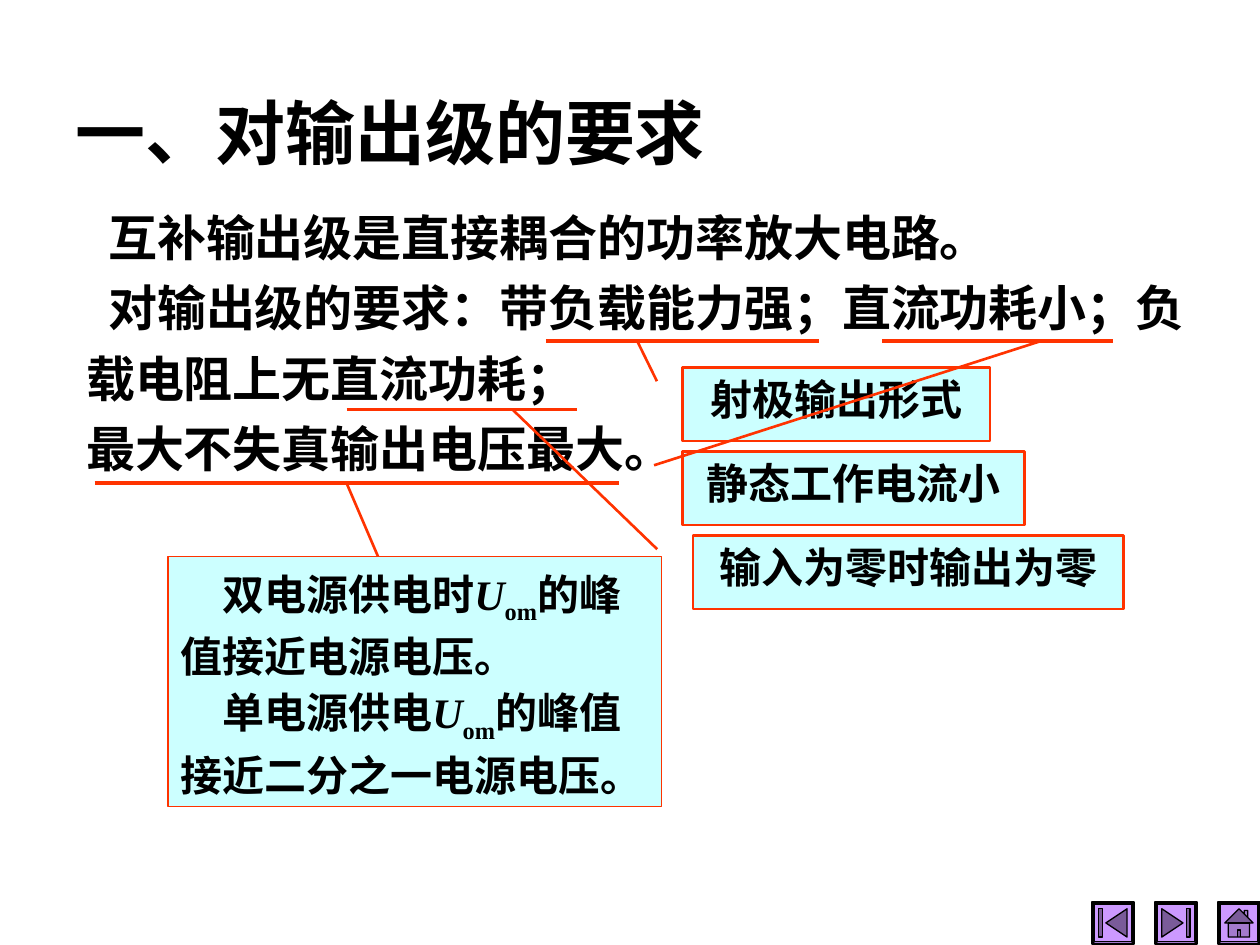
from lxml import etree
from pptx import Presentation
from pptx.dml.color import RGBColor
from pptx.enum.shapes import MSO_CONNECTOR, MSO_SHAPE
from pptx.enum.text import MSO_ANCHOR, MSO_AUTO_SIZE, PP_ALIGN
from pptx.oxml.ns import qn
from pptx.util import Pt

PX = 7620  # EMU per px, 120 px to the inch
STRAIGHT = MSO_CONNECTOR.STRAIGHT
CALLOUT, RECTANGLE, BEVEL = MSO_SHAPE.LINE_CALLOUT_1, MSO_SHAPE.RECTANGLE, MSO_SHAPE.BEVEL
NAV_BUTTONS = (MSO_SHAPE.ACTION_BUTTON_BEGINNING, MSO_SHAPE.ACTION_BUTTON_END,
               MSO_SHAPE.ACTION_BUTTON_HOME)
TOP, MIDDLE = MSO_ANCHOR.TOP, MSO_ANCHOR.MIDDLE
LEFT, CENTER = PP_ALIGN.LEFT, PP_ALIGN.CENTER
NO_AUTOFIT = MSO_AUTO_SIZE.NONE

CJK, SERIF = "Noto Sans CJK SC", "Times New Roman"
COLORS = {"ink": "000000", "note": "CCFFFF", "mark": "FF3300", "button": "CC99FF"}


def rgb(name):
    return RGBColor.from_string(COLORS[name])


def place(shape, box):
    shape.left, shape.top, shape.width, shape.height = (v * PX for v in box)


def format_paragraph(paragraph, size, latin, align=LEFT, spacing=None, indent=0):
    paragraph.alignment = align
    if spacing:
        paragraph.line_spacing = spacing
    font = paragraph.font
    font.size, font.bold = Pt(size), True
    font.color.rgb = rgb("ink")
    font.name = latin
    props = paragraph._p.get_or_add_pPr()
    props.set("marL", "0")
    props.set("indent", str(indent * PX))
    etree.SubElement(props.find(qn("a:defRPr")), qn("a:ea"), typeface=CJK)


def add_box(slide, preset, box, fill, line, width):
    shape = slide.shapes.add_shape(preset, *(v * PX for v in box))
    shape.shadow.inherit = False
    shape.fill.solid()
    shape.fill.fore_color.rgb = rgb(fill)
    shape.line.color.rgb = rgb(line)
    shape.line.width = Pt(width)
    shape.text_frame.word_wrap = True
    shape.text_frame.vertical_anchor = TOP
    return shape


def add_line(slide, start, end, width):
    line = slide.shapes.add_connector(STRAIGHT, *(v * PX for v in (*start, *end)))
    line.line.color.rgb = rgb("mark")
    line.line.width = Pt(width)
    etree.SubElement(line._element.spPr, qn("a:effectLst"))


def add_underline(slide, left, right, y):
    add_line(slide, (left, y), (right, y), 2.25)


def add_navigation(slide, box):
    left, top, size, step = box
    for i, preset in enumerate(NAV_BUTTONS):
        x = left + i * step
        frame = add_box(slide, BEVEL, (x, top, size, size), "button", "ink", 0.75)
        frame.adjustments[0] = 0.06
        add_box(slide, preset, (x + 2, top + 2, size - 4, size - 4), "button", "ink", 0.75)


def fill_title(title, box, text):
    place(title, box)
    frame = title.text_frame
    frame.text = text
    frame.vertical_anchor, frame.auto_size = MIDDLE, NO_AUTOFIT
    heading = frame.paragraphs[0]
    heading.space_before = Pt(22.5)
    format_paragraph(heading, 40, CJK)


def fill_body(body, box, lines):
    place(body, box)
    frame = body.text_frame
    frame.text = "\n".join(text for text, _ in lines)
    frame.vertical_anchor, frame.auto_size = TOP, NO_AUTOFIT
    for paragraph, (_, indent) in zip(frame.paragraphs, lines):
        etree.SubElement(paragraph._p.get_or_add_pPr(), qn("a:buNone"))
        paragraph.space_before = Pt(0)
        format_paragraph(paragraph, 28, CJK, spacing=1.2, indent=indent)


def add_callout(slide, box, text, underline, tip_x):
    """A note whose leader ends at tip_x on the underlined phrase."""
    left, top, width, height = box
    note = add_box(slide, CALLOUT, box, "note", "mark", 1.5)
    tip_y = underline[2]
    leader = (0.188, -0.083, (tip_y - top) / height, (tip_x - left) / width)
    for i, value in enumerate(leader):
        note.adjustments[i] = value
    note.text_frame.text = text
    format_paragraph(note.text_frame.paragraphs[0], 24, SERIF, CENTER)
    add_underline(slide, *underline)


def add_voltage_note(slide, box, sentences, underline, leader_x):
    left, top = box[:2]
    frame = add_box(slide, RECTANGLE, box, "note", "mark", 0.75).text_frame
    for i, (before, after) in enumerate(sentences):
        paragraph = frame.add_paragraph() if i else frame.paragraphs[0]
        format_paragraph(paragraph, 24, SERIF, spacing=1.1, indent=40)
        runs = []
        for text in (before, "U", "om", after):
            run = paragraph.add_run()
            run.text = text
            runs.append(run)
        runs[1].font.italic = True
        runs[2]._r.get_or_add_rPr().set("baseline", "-25000")
    add_underline(slide, *underline)
    add_line(slide, (leader_x, underline[2]), (left + 200, top), 1.5)


def main():
    prs = Presentation()
    prs.slide_width, prs.slide_height = 1200 * PX, 900 * PX
    slide = prs.slides.add_slide(prs.slide_layouts[1])

    # Navigation buttons
    add_navigation(slide, (1040, 859, 40, 60))

    # Title and requirements
    fill_title(slide.shapes.title, (60, 80, 1070, 90), "一、对输出级的要求")
    fill_body(slide.placeholders[1], (70, 180, 1090, 281), [
        ("互补输出级是直接耦合的功率放大电路。", 21),
        ("对输出级的要求：带负载能力强；直流功耗小；负载电阻上无直流功耗；", 21),
        ("最大不失真输出电压最大。", 0),
    ])

    # Callouts: box, text, underline (left, right, y), leader tip
    callouts = [
        ((650, 350, 293, 70), "射极输出形式", (520, 780, 325), 607),
        ((650, 430, 326, 70), "静态工作电流小", (840, 1060, 325), 991),
        ((660, 510, 410, 70), "输入为零时输出为零", (330, 550, 390), 488),
    ]
    for callout in callouts:
        add_callout(slide, *callout)

    # Note on the maximum output voltage
    add_voltage_note(slide, (160, 530, 470, 238), [
        ("双电源供电时", "的峰值接近电源电压。"),
        ("单电源供电", "的峰值接近二分之一电源电压。"),
    ], (90, 590, 460), 330)

    prs.save("out.pptx")


if __name__ == "__main__":
    main()
